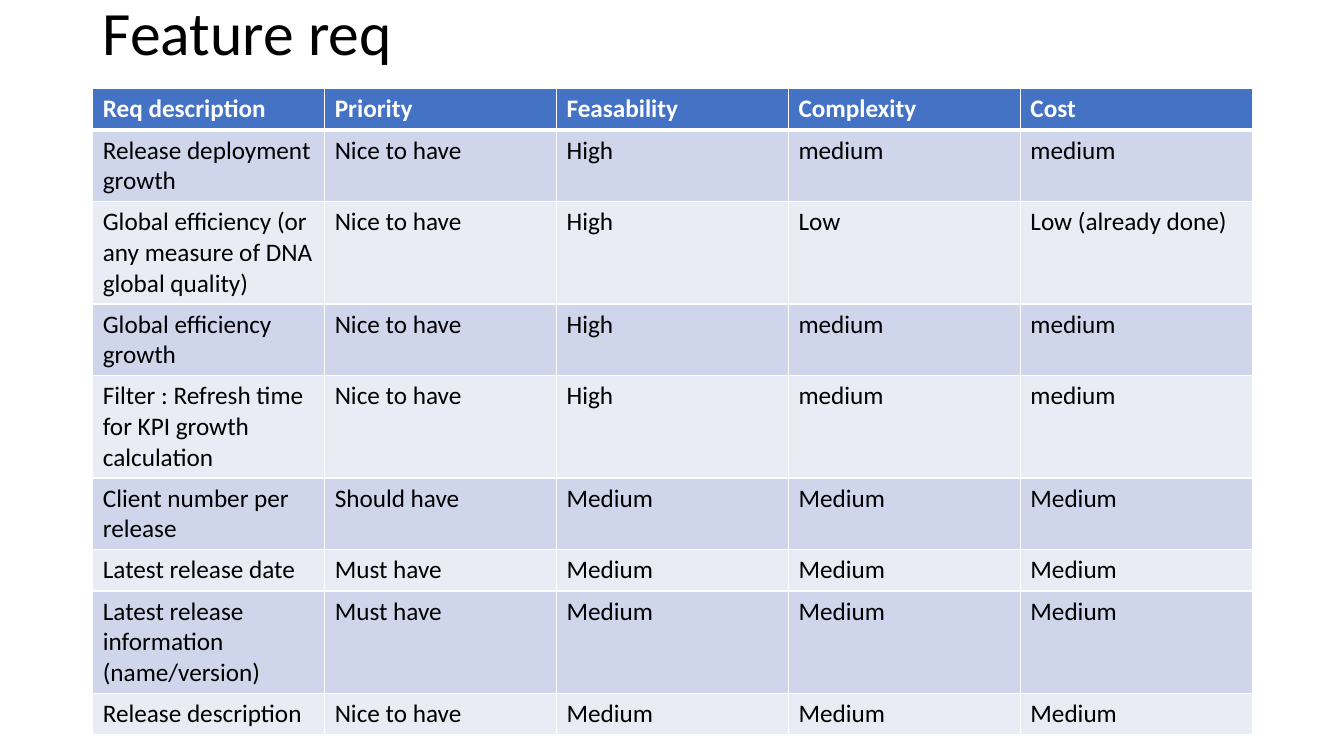
import dataclasses

import pptx
import pptx.dml.color
import pptx.enum.text
import pptx.oxml
import pptx.oxml.ns
import pptx.util
from pptx.util import Inches


@dataclasses.dataclass(frozen=True)
class Theme:
    font: str = "Calibri"
    ink: str = "000000"
    paper: str = "FFFFFF"
    header: str = "4472C4"
    bands: tuple = ("CFD5EA", "E9EBF5")
    title_size: int = 44
    cell_size: int = 18
    thin: int = 1
    thick: int = 3


COLUMNS = ("Req description", "Priority", "Feasability", "Complexity", "Cost")
REQUIREMENTS = (
    ("Release deployment growth", "Nice to have", "High", "medium", "medium"),
    ("Global efficiency (or any measure of DNA global quality)",
     "Nice to have", "High", "Low", "Low (already done)"),
    ("Global efficiency growth", "Nice to have", "High", "medium", "medium"),
    ("Filter : Refresh time for KPI growth calculation",
     "Nice to have", "High", "medium", "medium"),
    ("Client number per release", "Should have", "Medium", "Medium", "Medium"),
    ("Latest release date", "Must have", "Medium", "Medium", "Medium"),
    ("Latest release information (name/version)",
     "Must have", "Medium", "Medium", "Medium"),
    ("Release description", "Nice to have", "Medium", "Medium", "Medium"),
)


class SlideBuilder:
    """Adds styled elements to one slide."""

    def __init__(self, page, theme):
        self.page = page
        self.theme = theme

    def style(self, paragraph, size, color, bold=False):
        font = paragraph.font
        font.name = self.theme.font
        font.size = pptx.util.Pt(size)
        font.bold = bold
        font.color.rgb = pptx.dml.color.RGBColor.from_string(color)

    def title(self, text, left, top, width, height):
        box = self.page.shapes.title
        box.left, box.top = Inches(left), Inches(top)
        box.width, box.height = Inches(width), Inches(height)
        frame = box.text_frame
        frame.text = text
        frame.auto_size = pptx.enum.text.MSO_AUTO_SIZE.NONE
        frame.vertical_anchor = pptx.enum.text.MSO_ANCHOR.MIDDLE
        paragraph = frame.paragraphs[0]
        paragraph.alignment = pptx.enum.text.PP_ALIGN.LEFT
        paragraph.line_spacing = 0.9
        self.style(paragraph, self.theme.title_size, self.theme.ink)

    def border(self, cell, side, width):
        properties = cell._tc.get_or_add_tcPr()
        properties.append(pptx.oxml.parse_xml(
            f'<a:ln{side} {pptx.oxml.ns.nsdecls("a")} w="{pptx.util.Pt(width)}">'
            f'<a:solidFill><a:srgbClr val="{self.theme.paper}"/></a:solidFill>'
            f'</a:ln{side}>'))

    def cell(self, cell, text, row):
        theme = self.theme
        is_header = row == 0
        cell.text = text
        self.style(cell.text_frame.paragraphs[0], theme.cell_size,
                   theme.paper if is_header else theme.ink, is_header)
        widths = {"L": theme.thin, "R": theme.thin,
                  "T": theme.thick if row == 1 else theme.thin,
                  "B": theme.thick if is_header else theme.thin}
        for side, width in widths.items():
            self.border(cell, side, width)
        color = theme.header if is_header else theme.bands[(row - 1) % 2]
        cell.fill.solid()
        cell.fill.fore_color.rgb = pptx.dml.color.RGBColor.from_string(color)

    def table(self, rows, left, top, width, row_height):
        table = self.page.shapes.add_table(
            len(rows), len(rows[0]), Inches(left), Inches(top),
            Inches(width), Inches(row_height * len(rows))).table
        for row, texts in enumerate(rows):
            table.rows[row].height = Inches(row_height)
            for column, text in enumerate(texts):
                self.cell(table.cell(row, column), text, row)


def main():
    deck = pptx.Presentation()
    deck.slide_width, deck.slide_height = Inches(13.33), Inches(7.5)
    page = deck.slides.add_slide(deck.slide_layouts[5])
    builder = SlideBuilder(page, Theme())
    builder.title("Feature req", 0.92, -0.37, 11.5, 1.45)
    builder.table((COLUMNS, *REQUIREMENTS), 0.92, 0.88, 11.5, 0.41)
    deck.save("out.pptx")


if __name__ == "__main__":
    main()
